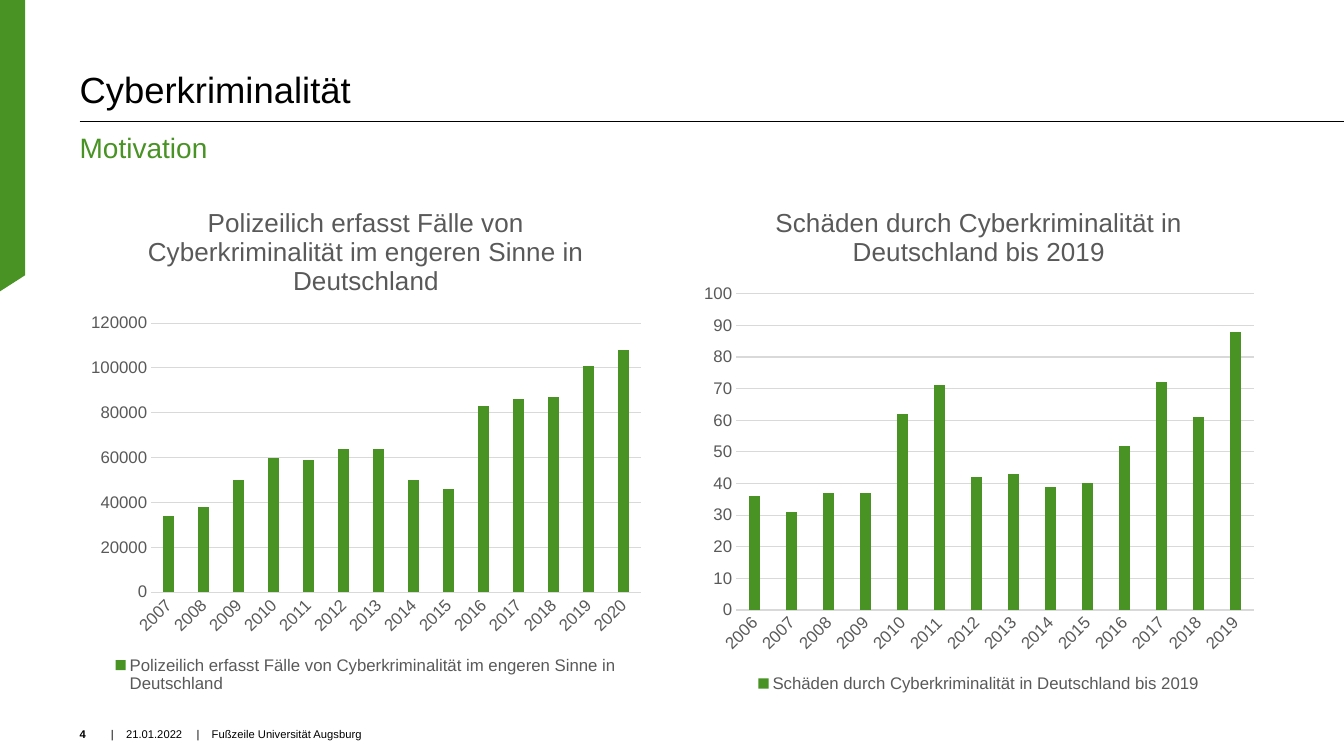
"""Build the slide on cybercrime in Germany with two column charts."""
from lxml import etree
from pptx import Presentation
from pptx.chart.data import CategoryChartData
from pptx.dml.color import RGBColor
from pptx.enum import chart as ch, text as tx
from pptx.oxml import ns
from pptx.util import Inches, Pt

COLORS = {"green": "489324", "black": "000000", "gray": "595959", "grid": "D9D9D9"}


def color(name):
    return RGBColor.from_string(COLORS[name])


def style(font, size, shade, bold=False):
    values = {"name": "Arial", "size": Pt(size), "bold": bold}
    for key, value in values.items():
        setattr(font, key, value)
    font.color.rgb = color(shade)


deck = Presentation()
deck.slide_width, deck.slide_height = Inches(13.33), Inches(7.5)
page = deck.slides.add_slide(deck.slide_layouts[5])

outline = page.shapes.build_freeform(0, 0)
outline.add_line_segments([(Inches(x), Inches(y)) for x, y in [(0.25, 0), (0.25, 2.73), (0, 2.89)]])
ribbon = outline.convert_to_shape()
ribbon.shadow.inherit = False
ribbon.fill.solid()
ribbon.fill.fore_color.rgb = color("green")
ribbon.line.fill.background()

rule = page.shapes.add_connector(1, Inches(0.79), Inches(1.2), Inches(13.33), Inches(1.2))
rule.line.color.rgb = color("black")
rule.line.width = Pt(0.5)
etree.SubElement(rule._element.spPr, ns.qn("a:effectLst"))

TOP, BOTTOM = tx.MSO_ANCHOR.TOP, tx.MSO_ANCHOR.BOTTOM
texts = [
    ("Cyberkriminalität", (0.79, 0, 11.76, 1.11), BOTTOM, 26, "black", False),
    ("Motivation", (0.79, 1.29, 11.76, 0.4), TOP, 20, "green", False),
    ("4", (0.79, 7.11, 0.35, 0.24), BOTTOM, 8, "black", True),
    ("|\t21.01.2022", (1.1, 7.11, 0.88, 0.24), BOTTOM, 8, "black", False),
    ("|\tFußzeile Universität Augsburg", (1.95, 7.11, 7.98, 0.24), BOTTOM, 8, "black", False),
]
for index, (words, place, anchor, size, shade, bold) in enumerate(texts):
    box = page.shapes.title if index == 0 else page.shapes.add_textbox(0, 0, 0, 0)
    box.left, box.top, box.width, box.height = map(Inches, place)
    layout = {"margin_left": 0, "margin_top": 0, "margin_right": 0, "margin_bottom": 0,
              "word_wrap": True, "auto_size": tx.MSO_AUTO_SIZE.NONE, "vertical_anchor": anchor}
    for key, value in layout.items():
        setattr(box.text_frame, key, value)
    para = box.text_frame.paragraphs[0]
    para.alignment = tx.PP_ALIGN.LEFT
    if index == 0:
        para.line_spacing = 0.9
    if "\t" in words:
        stops = etree.SubElement(para._p.get_or_add_pPr(), ns.qn("a:tabLst"))
        etree.SubElement(stops, ns.qn("a:tab"), pos=str(Inches(0.15)), algn="l")
    span = para.add_run()
    span.text = words
    style(span.font, size, shade, bold)

charts = [
    (0.79, "Polizeilich erfasst Fälle von Cyberkriminalität im engeren Sinne in Deutschland",
     2007, "General", 120000, 20000,
     [34000, 38000, 50000, 60000, 59000, 64000, 64000, 50000, 46000, 83000, 86000, 87000,
      101000, 108000]),
    (6.87, "Schäden durch Cyberkriminalität in Deutschland bis 2019",
     2006, "#,##0", 100, 10, [36, 31, 37, 37, 62, 71, 42, 43, 39, 40, 52, 72, 61, 88]),
]
for left, heading, first_year, number_format, top_value, step, values in charts:
    data = CategoryChartData(number_format=number_format)
    data.categories = [str(first_year + offset) for offset in range(len(values))]
    data.add_series(heading, values)
    chart = page.shapes.add_chart(ch.XL_CHART_TYPE.COLUMN_CLUSTERED, Inches(left), Inches(1.83),
                                  Inches(5.68), Inches(5.08), data).chart
    style(chart.font, 10, "black")

    chart.has_title = True
    chart.chart_title.include_in_layout = False
    span = chart.chart_title.text_frame.paragraphs[0].add_run()
    span.text = heading
    style(span.font, 18.6, "gray")

    chart.has_legend = True
    chart.legend.position = ch.XL_LEGEND_POSITION.BOTTOM
    chart.legend.include_in_layout = False
    style(chart.legend.font, 12, "gray")

    plot = chart.plots[0]
    plot.gap_width, plot.overlap, plot.vary_by_categories = 219, -27, False
    bars = plot.series[0].format.fill
    bars.solid()
    bars.fore_color.rgb = color("green")

    years, amounts = chart.category_axis, chart.value_axis
    for axis in (years, amounts):
        axis.major_tick_mark = axis.minor_tick_mark = ch.XL_TICK_MARK.NONE
        style(axis.tick_labels.font, 12, "gray")
    years._element.find(ns.qn("c:txPr")).find(ns.qn("a:bodyPr")).set("rot", "-2700000")
    amounts.minimum_scale, amounts.maximum_scale, amounts.major_unit = 0, top_value, step
    amounts.tick_labels.number_format = number_format
    amounts.tick_labels.number_format_is_linked = False
    amounts.format.line.fill.background()
    amounts.has_major_gridlines = True
    for line in (years.format.line, amounts.major_gridlines.format.line):
        line.color.rgb = color("grid")
        line.width = Pt(0.75)

deck.save("out.pptx")
